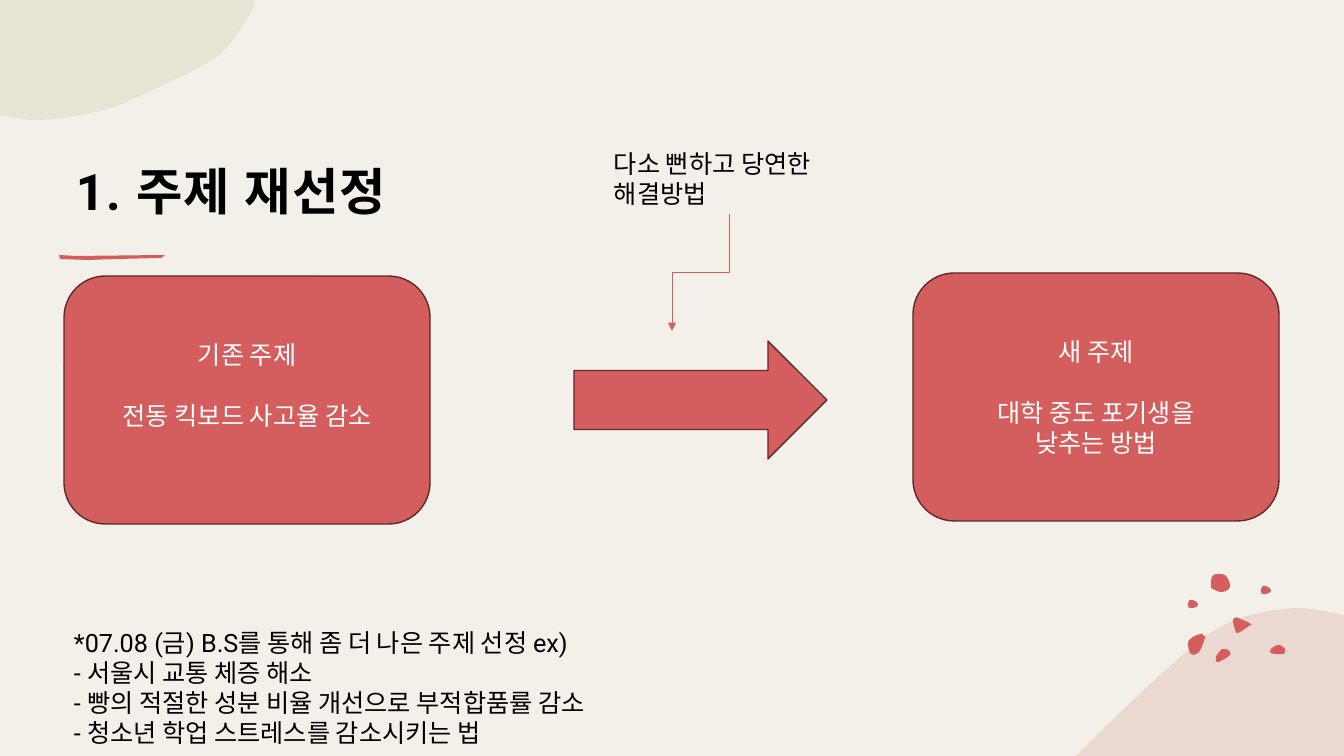
from dataclasses import dataclass
from lxml.etree import SubElement
from pptx import Presentation
from pptx.dml.color import RGBColor as Rgb
from pptx.enum.shapes import MSO_CONNECTOR as Conn, MSO_SHAPE as Kind
from pptx.enum.text import MSO_ANCHOR as Anchor, PP_ALIGN as Align
from pptx.oxml.ns import qn
from pptx.util import Emu, Pt

Point = tuple[int, int]


@dataclass(frozen=True)
class Theme:
    paper: str = "F3F0E9"
    red: str = "D45E5E"
    edge: str = "5D2929"
    pink: str = "E5C4BA"
    sage: str = "DCD9C3"
    black: str = "000000"
    white: str = "FFFFFF"
    latin: str = "Roboto"
    asian: str = "Noto Sans CJK KR"
    head: int = 36
    body: int = 18


@dataclass(frozen=True)
class Blob:
    points: tuple[Point, ...]
    color: str
    alpha: int = 100
    corners: tuple[Point, ...] = ()
    ring: bool = True


@dataclass(frozen=True)
class Card:
    left: int
    top: int
    lines: tuple[str, ...]
    foot: int = 5


@dataclass(frozen=True)
class Note:
    left: int
    top: int
    width: int
    height: int
    text: str
    font: str
    size: int
    bold: bool = False


theme = Theme()
LINE = 30  # height of one body line


def px(n: float) -> Emu:
    return Emu(round(n * 914400 / 100.8))


def paint(shape, color: str, edge: str = "") -> None:
    shape.shadow.inherit = False
    shape.fill.solid()
    shape.fill.fore_color.rgb = Rgb.from_string(color)
    if edge:
        shape.line.color.rgb = Rgb.from_string(edge)
        shape.line.width = Pt(1)
    else:
        shape.line.fill.background()


def style(frame, font: str, size: int, color: str, bold: bool = False) -> None:
    for para in frame.paragraphs:
        for run in para.runs:
            run.font.name, run.font.size, run.font.bold = font, Pt(size), bold
            run.font.color.rgb = Rgb.from_string(color)
            props = run.font._element
            SubElement(props, qn("a:ea")).set("typeface", theme.asian)


def smooth(points: tuple[Point, ...], ring: bool, steps: int = 8) -> list:
    """Trace a Catmull-Rom curve through the points."""
    ends = (points[-1:], points[:2]) if ring else (points[:1], points[-1:])
    knots = ends[0] + points + ends[1]
    trace = []
    for a, b, c, d in zip(knots, knots[1:], knots[2:], knots[3:]):
        for i in range(steps):
            t = i / steps
            trace.append(tuple(
                q + t * (r - p + t * (2 * p - 5 * q + 4 * r - s
                                      + t * (3 * q - p - 3 * r + s))) / 2
                for p, q, r, s in zip(a, b, c, d)))
    return trace if ring else trace + [points[-1]]


def draw_blob(shapes, blob: Blob) -> None:
    trace = smooth(blob.points, blob.ring) if blob.points else []
    first, *rest = [(px(x), px(y)) for x, y in trace + list(blob.corners)]
    pen = shapes.build_freeform(*first, scale=1.0)
    pen.add_line_segments(rest, close=True)
    shape = pen.convert_to_shape()
    paint(shape, blob.color)
    if blob.alpha < 100:
        tint = shape._element.spPr.find(qn("a:solidFill"))[0]
        SubElement(tint, qn("a:alpha")).set("val", str(blob.alpha * 1000))


def draw_card(shapes, card: Card) -> None:
    shape = shapes.add_shape(Kind.ROUNDED_RECTANGLE, px(card.left),
                             px(card.top), px(366), px(248))
    paint(shape, theme.red, theme.edge)
    frame = shape.text_frame
    frame.text = "\n".join(card.lines)
    frame.word_wrap, frame.vertical_anchor = True, Anchor.MIDDLE
    frame.margin_bottom = px(card.foot)
    for para in frame.paragraphs:
        para.alignment = Align.CENTER
    frame.paragraphs[1].space_before = px(LINE)
    style(frame, theme.asian, theme.body, theme.white)


def draw_note(shapes, note: Note):
    box = shapes.add_textbox(px(note.left), px(note.top),
                             px(note.width), px(note.height))
    frame = box.text_frame
    frame.word_wrap, frame.text = True, note.text
    style(frame, note.font, note.size, theme.black, note.bold)
    return frame


deck = Presentation()
deck.slide_width, deck.slide_height = px(1344), px(756)
slide = deck.slides.add_slide(deck.slide_layouts[6])
slide.background.fill.solid()
slide.background.fill.fore_color.rgb = Rgb.from_string(theme.paper)
shapes = slide.shapes

# Corner hills, red dots and title underline
chip = ((1261, 591), (1263, 586), (1268, 587), (1271, 590), (1269, 593),
        (1263, 594))
dots = (
    ((1223, 649), (1228, 650), (1230, 655), (1218, 662), (1216, 657),
     (1220, 651)),
    ((1201, 634), (1204, 636), (1205, 638), (1199, 652), (1191, 654),
     (1188, 643), (1193, 637)),
    ((1279, 645), (1285, 649), (1283, 654), (1271, 653), (1272, 648)),
    ((1211, 586), (1212, 577), (1217, 574), (1226, 576), (1230, 587),
     (1222, 592), (1213, 589)),
    chip,
    tuple((x - 73, y + 14) for x, y in chip),
    ((1238, 618), (1251, 624), (1249, 626), (1240, 632), (1236, 632),
     (1233, 621), (1235, 618)),
)
hill = Blob(((1076, 756), (1127, 706), (1178, 659), (1212, 632), (1247, 616),
             (1298, 608), (1344, 615)), theme.pink, 50, ((1344, 756),), False)
leaf = Blob(((255, 6), (220, 54), (159, 87), (104, 110), (41, 120), (0, 115)),
            theme.sage, 50, ((0, 0), (255, 0)), False)
rule = Blob((), theme.red, corners=(
    (59, 255), (76, 256), (165, 255), (161, 258), (119, 259), (87, 260),
    (60, 259)))
for blob in (hill, *(Blob(dot, theme.red) for dot in dots), leaf, rule):
    draw_blob(shapes, blob)

# Title
title = draw_note(shapes, Note(64, 157, 341, 74, "1. 주제 재선정",
                               theme.latin, theme.head, True))
title.vertical_anchor = Anchor.BOTTOM
title.margin_left = title.margin_top = px(12)
title.margin_right, title.margin_bottom = px(18), px(10)
title.paragraphs[0].line_spacing = 1.14
title.paragraphs[0].runs[0].font._element.set("spc", "100")

# Old topic, arrow, new topic
draw_card(shapes, Card(64, 276, ("기존 주제", "전동 킥보드 사고율 감소"),
                       5 + LINE))
arrow = shapes.add_shape(Kind.RIGHT_ARROW, px(574), px(341), px(253), px(118))
paint(arrow, theme.red, theme.edge)
draw_card(shapes, Card(913, 273, ("새 주제", "대학 중도 포기생을",
                                  "낮추는 방법")))

# Elbow from the remark down to the arrow
elbow = shapes.add_connector(Conn.ELBOW, px(642), px(244), px(759), px(301))
elbow.line.color.rgb = Rgb.from_string(theme.red)
elbow.line.width = Pt(0.5)
props = elbow._element.spPr
props.find(qn("a:xfrm")).set("rot", "5400000")
SubElement(props.find(qn("a:ln")), qn("a:tailEnd")).set("type", "triangle")
SubElement(props, qn("a:effectLst"))

# Remark and footer list
draw_note(shapes, Note(604, 143, 253, 72, "다소 뻔하고 당연한 해결방법",
                       theme.asian, theme.body))
draw_note(shapes, Note(64, 622, 1027, 132, "\n".join((
    "*07.08 (금) B.S를 통해 좀 더 나은 주제 선정 ex)",
    "- 서울시 교통 체증 해소",
    "- 빵의 적절한 성분 비율 개선으로 부적합품률 감소",
    "- 청소년 학업 스트레스를 감소시키는 법")), theme.latin, theme.body))

deck.save("out.pptx")
